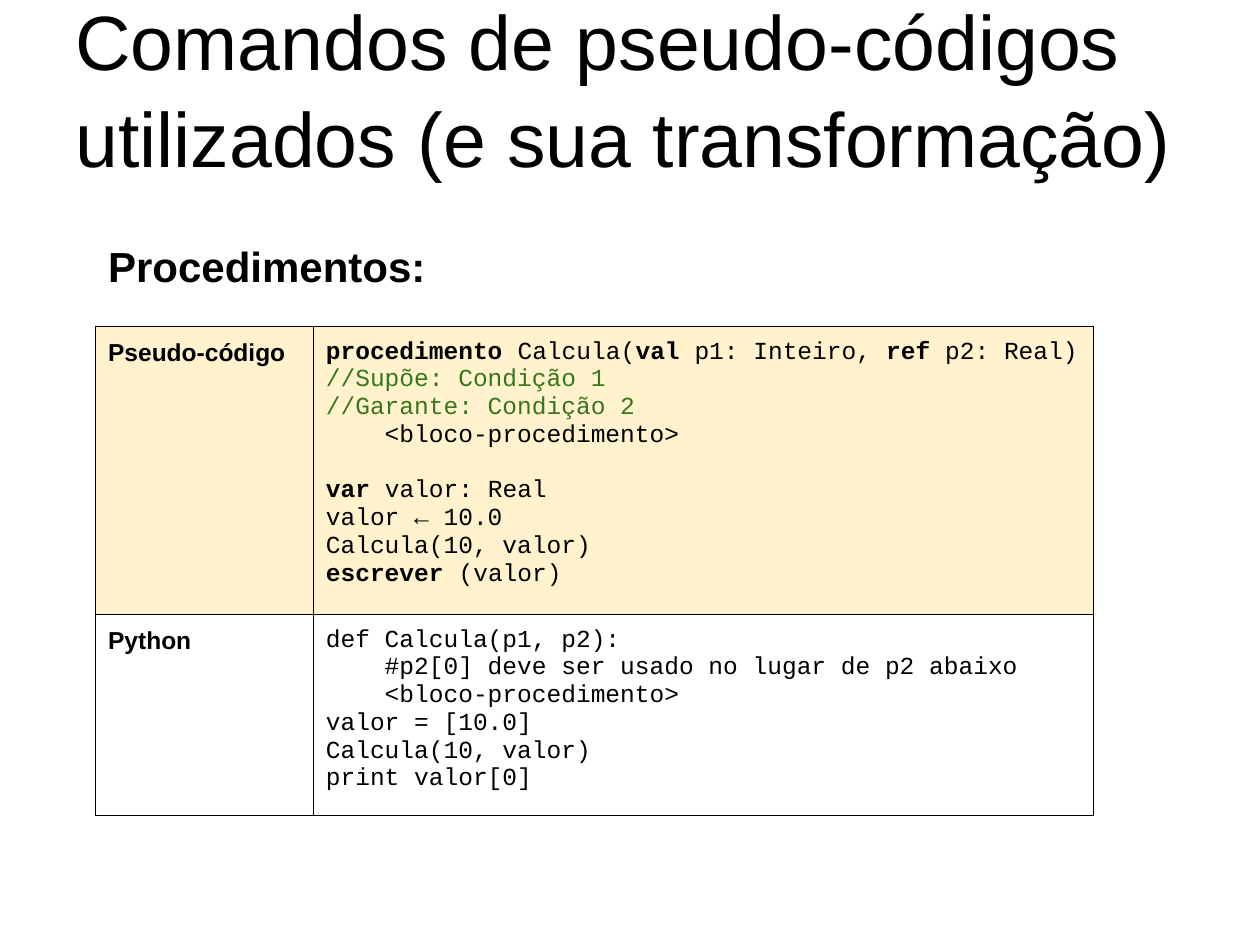
from dataclasses import dataclass

from lxml import etree
from pptx import Presentation
from pptx.dml.color import RGBColor
from pptx.enum.text import MSO_ANCHOR
from pptx.oxml.ns import qn
from pptx.util import Cm, Pt

TOP, BOTTOM = MSO_ANCHOR.TOP, MSO_ANCHOR.BOTTOM
MARGIN = Cm(0.25)


@dataclass(frozen=True)
class Theme:
    """Colours, fonts and type sizes of the slide."""
    ink: str = "000000"
    comment: str = "38761D"
    highlight: str = "FFF2CC"
    sans: str = "Arial"
    mono: str = "Courier New"
    title: float = 44
    heading: float = 24
    body: float = 14
    blank_line: float = 15.9
    border: float = 0.75


THEME = Theme()
LABEL = dict(name=THEME.sans, size=Pt(THEME.body), bold=True, color=THEME.ink)
CODE = dict(name=THEME.mono, size=Pt(THEME.body), bold=False, color=THEME.ink)
KEYWORD = CODE | dict(bold=True)
COMMENT = CODE | dict(color=THEME.comment)

PSEUDOCODE = [
    [("procedimento ", KEYWORD), ("Calcula(", CODE), ("val", KEYWORD),
     (" p1: Inteiro, ", CODE), ("ref", KEYWORD), (" p2: Real)", CODE)],
    [("//Supõe: Condição 1", COMMENT)],
    [("//Garante: Condição 2", COMMENT)],
    [("    <bloco-procedimento>", CODE)],
    [],
    [("var", KEYWORD), (" valor: Real", CODE)],
    [("valor ← 10.0", CODE)],
    [("Calcula(10, valor)", CODE)],
    [("escrever ", KEYWORD), ("(valor)", CODE)],
]
PYTHON = [[(line, CODE)] for line in (
    "def Calcula(p1, p2):",
    "    #p2[0] deve ser usado no lugar de p2 abaixo",
    "    <bloco-procedimento>",
    "valor = [10.0]",
    "Calcula(10, valor)",
    "print valor[0]",
)]
ROWS = [
    ("Pseudo-código", PSEUDOCODE, THEME.highlight, 5.54),
    ("Python", PYTHON, None, 3.86),
]


def write_lines(tf, lines):
    """Write lines of styled runs; an empty line becomes space before the next."""
    p, gap = None, 0
    for line in lines:
        if not line:
            gap = THEME.blank_line
            continue
        p = tf.add_paragraph() if p else tf.paragraphs[0]
        if gap:
            p.space_before, gap = Pt(gap), 0
        for text, style in line:
            r = p.add_run()
            r.text = text
            for key, value in style.items():
                if key == "color":
                    r.font.color.rgb = RGBColor.from_string(value)
                else:
                    setattr(r.font, key, value)


def set_margins(target):
    """Give a text frame or cell the same margin on every side."""
    for side in ("left", "top", "right", "bottom"):
        setattr(target, f"margin_{side}", MARGIN)


def add_text(s, box, text, size, bold, anchor, spacing):
    """Place a wrapped one-paragraph text in the box."""
    tf = s.shapes.add_textbox(*map(Cm, box)).text_frame
    tf.word_wrap = True
    tf.vertical_anchor = anchor
    set_margins(tf)
    style = dict(name=THEME.sans, size=Pt(size), bold=bold, color=THEME.ink)
    write_lines(tf, [[(text, style)]])
    tf.paragraphs[0].line_spacing = spacing


def add_borders(cell):
    """Draw a thin solid line on each side of the cell."""
    tc_pr = cell._tc.get_or_add_tcPr()
    for side in ("lnL", "lnR", "lnT", "lnB"):
        ln = etree.SubElement(tc_pr, qn(f"a:{side}"), w=str(Pt(THEME.border)))
        fill = etree.SubElement(ln, qn("a:solidFill"))
        etree.SubElement(fill, qn("a:srgbClr"), val=THEME.ink)


def add_code_table(s, box, label_width):
    """Place the table of labelled code listings in the box."""
    table = s.shapes.add_table(len(ROWS), 2, *map(Cm, box)).table
    for column, width in zip(table.columns, (label_width, box[2] - label_width)):
        column.width = Cm(width)
    for row, (label, code, fill, height) in zip(table.rows, ROWS):
        row.height = Cm(height)
        for cell, lines in zip(row.cells, ([[(label, LABEL)]], code)):
            set_margins(cell)
            write_lines(cell.text_frame, lines)
            add_borders(cell)
            if fill:
                cell.fill.solid()
                cell.fill.fore_color.rgb = RGBColor.from_string(fill)
            else:
                cell.fill.background()


def add_procedures(s, box):
    """Place the heading and, below it, the code table in the box."""
    left, top, width, _ = box
    add_text(s, box, "Procedimentos:", THEME.heading, True, TOP, 1.15)
    table_height = sum(row[-1] for row in ROWS)
    add_code_table(s, (left, top + 2.13, width, table_height), 4.39)


def main():
    """Build and save the slide."""
    prs = Presentation()
    prs.slide_width, prs.slide_height = Cm(25.4), Cm(19.05)
    s = prs.slides.add_slide(prs.slide_layouts[6])
    add_procedures(s, (1.93, 4.45, 20.12, 13.79))
    add_text(s, (1.27, 0.76, 22.86, 3.18),
             "Comandos de pseudo-códigos utilizados (e sua transformação)",
             THEME.title, False, BOTTOM, 1.05)
    prs.save("out.pptx")


if __name__ == "__main__":
    main()
